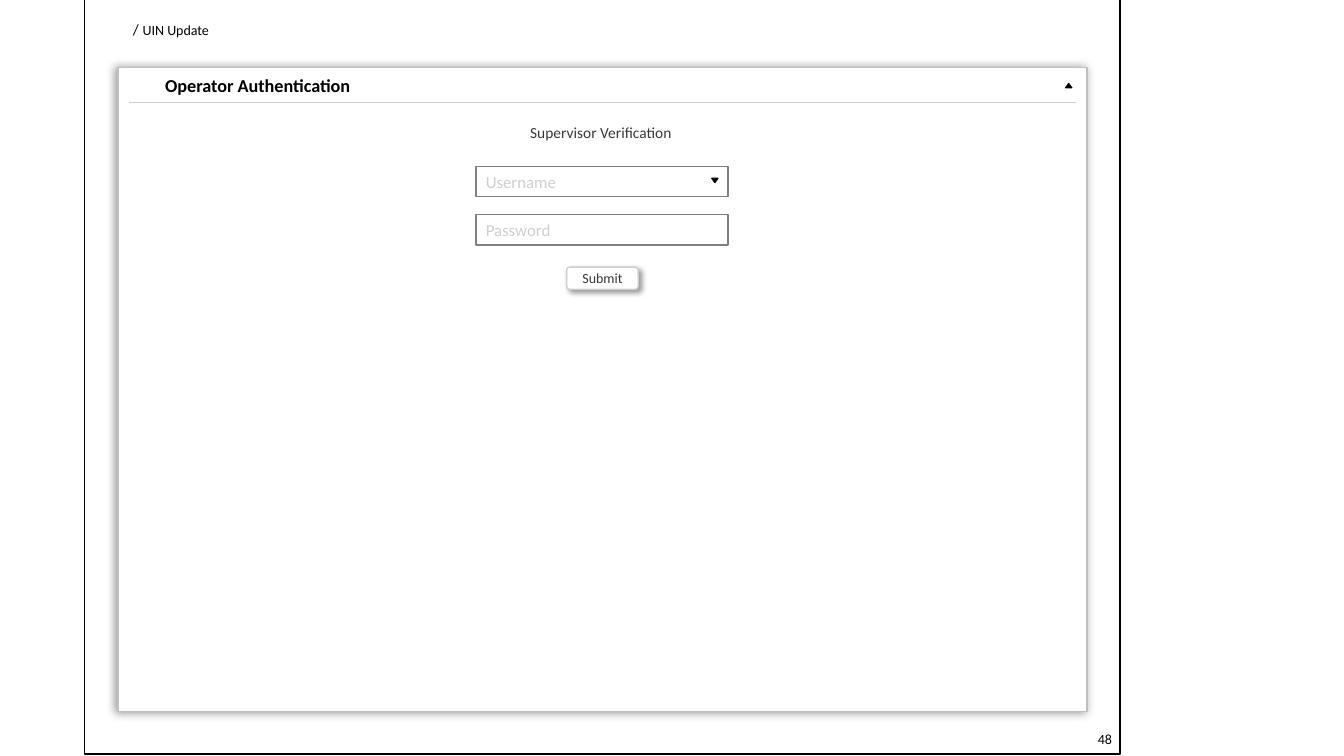
import pptx
import pptx.util
import pptx.dml.color
import pptx.enum.shapes
import pptx.enum.text
import pptx.oxml
import pptx.oxml.ns
from collections import namedtuple
from dataclasses import dataclass

PX = 9144  # EMU per px, 100 px to the inch
SHAPE = pptx.enum.shapes.MSO_SHAPE
ALIGN = pptx.enum.text.PP_ALIGN
ANCHOR = pptx.enum.text.MSO_ANCHOR
Box = namedtuple("Box", "left top width height")
Shadow = namedtuple("Shadow", "color opacity blur distance angle")


@dataclass(frozen=True)
class Theme:
    font: str = "Calibri"
    black: str = "000000"
    white: str = "FFFFFF"
    text: str = "3B3838"
    hint: str = "D0CECE"
    field_line: str = "808080"
    panel_line: str = "BFBFBF"
    panel_shadow: Shadow = Shadow("808080", 80, 6, 2, 170)
    button_shadow: Shadow = Shadow("000000", 40, 4, 3, 45)
    title: int = 13
    field: int = 12
    body: int = 11
    small: int = 10


THEME = Theme()


def rgb(color):
    return pptx.dml.color.RGBColor.from_string(color)


def emu(*lengths):
    return [length * PX for length in lengths]


def add_effects(item, shadow=None):
    effects = pptx.oxml.parse_xml(f'<a:effectLst {pptx.oxml.ns.nsdecls("a")}/>')
    if shadow:
        effects.append(pptx.oxml.parse_xml(
            f'<a:outerShdw {pptx.oxml.ns.nsdecls("a")} blurRad="{shadow.blur * 12700}" '
            f'dist="{shadow.distance * 12700}" dir="{shadow.angle * 60000}" algn="ctr" rotWithShape="0">'
            f'<a:srgbClr val="{shadow.color}"><a:alpha val="{shadow.opacity * 1000}"/></a:srgbClr>'
            '</a:outerShdw>'))
    item._element.spPr.append(effects)


def add_outline(slide, kind, box, line, fill=None, shadow=None):
    outline = slide.shapes.add_shape(kind, *emu(*box))
    if fill:
        outline.fill.solid()
        outline.fill.fore_color.rgb = rgb(fill)
    else:
        outline.fill.background()
    outline.line.color.rgb = rgb(line)
    outline.line.width = pptx.util.Pt(1)
    add_effects(outline, shadow)
    return outline


def write(paragraph, text, size, color, bold=False):
    run = paragraph.add_run()
    run.text = text
    run.font.name = THEME.font
    run.font.size = pptx.util.Pt(size)
    run.font.bold = bold
    run.font.color.rgb = rgb(color)


def add_label(slide, box, runs, color=THEME.black, bold=False, wrap=True):
    frame = slide.shapes.add_textbox(*emu(*box)).text_frame
    frame.word_wrap = wrap
    frame.auto_size = pptx.enum.text.MSO_AUTO_SIZE.SHAPE_TO_FIT_TEXT
    for text, size in runs:
        write(frame.paragraphs[0], text, size, color, bold)


def add_caption(outline, text, size, color, align):
    frame = outline.text_frame
    frame.vertical_anchor = ANCHOR.MIDDLE
    frame.paragraphs[0].alignment = align
    write(frame.paragraphs[0], text, size, color)


def add_arrow(slide, left, top, rotation=0):
    arrow = add_outline(slide, SHAPE.ISOSCELES_TRIANGLE, Box(left, top, 6, 4), THEME.black, THEME.black)
    arrow.rotation = rotation


def draw_page(slide, page):
    """Page frame with its breadcrumb and number."""
    add_outline(slide, SHAPE.RECTANGLE, page, THEME.black)
    add_label(slide, Box(page.left + 38, page.top + 16, 97, 30),
              [("/", THEME.body), (" ", THEME.field), ("UIN Update", THEME.small)], wrap=False)
    add_label(slide, Box(page.left + page.width - 32, page.top + 722, 48, 27), [("48", THEME.small)])


def draw_panel(slide, panel):
    """White panel with a title, a rule and a collapse arrow."""
    card = add_outline(slide, SHAPE.ROUNDED_RECTANGLE, panel, THEME.panel_line, THEME.white, THEME.panel_shadow)
    card.adjustments[0] = 0
    right = panel.left + panel.width
    add_label(slide, Box(panel.left + 37, panel.top + 2, 223, 32),
              [("Operator Authentication", THEME.title)], bold=True)
    add_arrow(slide, right - 21, panel.top + 16)
    rule_y = panel.top + 35
    rule = slide.shapes.add_connector(pptx.enum.shapes.MSO_CONNECTOR.STRAIGHT,
                                      *emu(panel.left + 11, rule_y, right - 11, rule_y))
    rule.line.color.rgb = rgb(THEME.hint)
    rule.line.width = pptx.util.Pt(0.5)
    add_effects(rule)


def draw_form(slide, form):
    """Supervisor sign-in: heading, two fields and a button."""
    add_label(slide, Box(form.left + 44, form.top, 162, 29),
              [("Supervisor Verification", THEME.body)], THEME.text, wrap=False)
    for row, hint in enumerate(["Username", "Password"]):
        field = add_outline(slide, SHAPE.RECTANGLE,
                            Box(form.left, form.top + 48 + row * 48, form.width, 30), THEME.field_line)
        add_caption(field, hint, THEME.field, THEME.hint, ALIGN.JUSTIFY)
    add_arrow(slide, form.left + form.width - 16, form.top + 60, rotation=180)

    submit = add_outline(slide, SHAPE.ROUNDED_RECTANGLE, Box(form.left + 90, form.top + 148, 71, 22),
                         THEME.hint, THEME.white, THEME.button_shadow)
    submit.adjustments[0] = 0.14
    add_caption(submit, "Submit", THEME.small, THEME.text, ALIGN.CENTER)


def main():
    deck = pptx.Presentation()
    deck.slide_width, deck.slide_height = emu(1333, 750)
    slide = deck.slides.add_slide(deck.slide_layouts[6])
    draw_panel(slide, Box(117, 67, 961, 639))
    draw_page(slide, Box(84, -2, 1027, 750))
    draw_form(slide, Box(472, 117, 250, 170))
    deck.save("out.pptx")


if __name__ == "__main__":
    main()
